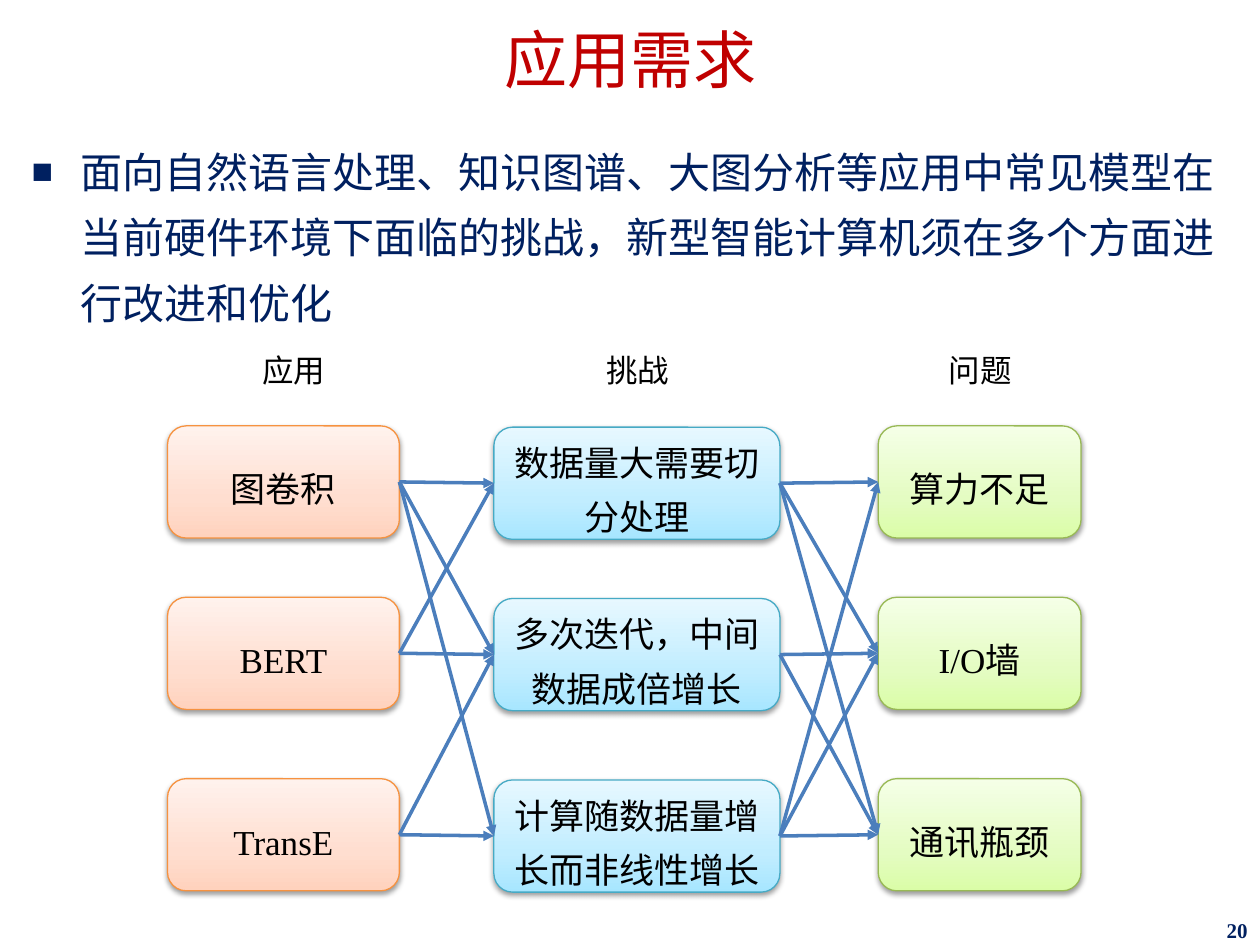
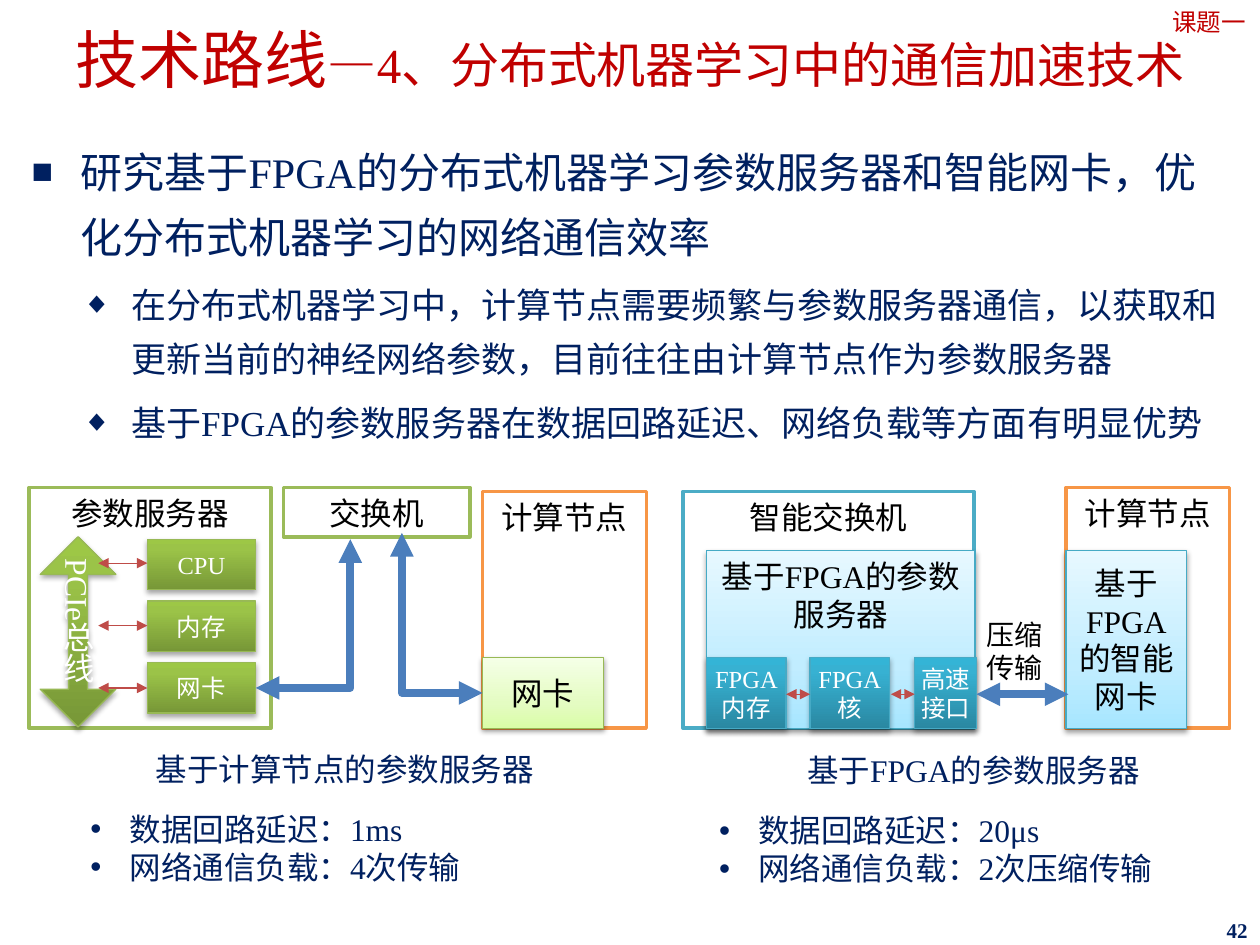
from dataclasses import dataclass
from typing import NamedTuple

import lxml.etree
import pptx
import pptx.dml.color
import pptx.enum.shapes
import pptx.enum.text
import pptx.oxml.ns
import pptx.util

Inches = pptx.util.Inches
Pt = pptx.util.Pt
ALIGN = pptx.enum.text.PP_ALIGN
ANCHOR = pptx.enum.text.MSO_ANCHOR
GEOMETRY = pptx.enum.shapes.MSO_SHAPE
ROUTE = pptx.enum.shapes.MSO_CONNECTOR
qn = pptx.oxml.ns.qn

FONT = "Times New Roman"
RED, NAVY, BLACK, WHITE = "C00000", "002060", "000000", "FFFFFF"
BLUE_LINK, RED_LINK = "4B7EBC", "BF4C48"


class Shadow(NamedTuple):
    opacity: int
    distance: float


SOFT, STRONG = Shadow(38, 1.6), Shadow(35, 1.8)


@dataclass(frozen=True)
class Skin:
    border: str
    border_width: float = 2
    stops: tuple[tuple[int, str], ...] = ()
    shadow: Shadow | None = None
    ink: str = BLACK


def soft(border: str, low: str, middle: str, high: str) -> Skin:
    return Skin(border, 0.75, ((0, low), (35, middle), (100, high)), SOFT)


def strong(border: str, low: str, middle: str, high: str) -> Skin:
    return Skin(border, 0.75, ((0, low), (80, middle), (100, high)), STRONG, WHITE)


PEACH = soft("F69240", "FFD2BD", "FFDED0", "FFF2ED")
SKY = soft("46AAC5", "A7E6FF", "C1EDFF", "E7F8FF")
LIME = soft("98B955", "DAFDA7", "E4FCC2", "F5FFE7")
TEAL = strong("46AAC5", "2A88A2", "37B1D2", "34B4D6")
GREEN = strong("98B955", "779737", "9BC348", "9DC746")
TEAL_FRAME, ORANGE_FRAME, GREEN_FRAME = Skin("4BACC6"), Skin("F79646"), Skin("9BBB59")


@dataclass(frozen=True)
class Box:
    text: str
    left: float
    top: float
    width: float
    height: float
    skin: Skin
    size: int = 18
    anchor: ANCHOR = ANCHOR.MIDDLE
    side_margin: float = 0.1
    line_spacing: float = 1.0
    geometry: GEOMETRY = GEOMETRY.RECTANGLE


@dataclass(frozen=True)
class Column:
    heading: str
    heading_left: float
    left: float
    offset: float
    width: float
    skin: Skin
    items: tuple[str, ...]


class Link(NamedTuple):
    start: tuple[float, float]
    end: tuple[float, float]
    color: str
    width: float
    route: ROUTE = ROUTE.STRAIGHT


class Summary(NamedTuple):
    left: float
    top: float
    caption: str
    facts: tuple[str, ...]


def rgb(color: str) -> pptx.dml.color.RGBColor:
    return pptx.dml.color.RGBColor.from_string(color)


def child(parent, tag: str, **attributes):
    element = lxml.etree.SubElement(parent, qn(tag))
    for key, value in attributes.items():
        element.set(key, str(value))
    return element


def style(paragraph, size: float, color: str, align=None, bold=None) -> None:
    paragraph.alignment = align
    paragraph.font.name = FONT
    paragraph.font.size = Pt(size)
    paragraph.font.bold = bold
    paragraph.font.color.rgb = rgb(color)


def bullet(paragraph, mark: str, indent: float, hanging: float, percent: int = 100) -> None:
    properties = paragraph._p.get_or_add_pPr()
    properties.set("marL", str(Inches(indent)))
    properties.set("indent", str(-Inches(hanging)))
    child(properties, "a:buSzPct", val=percent * 1000)
    child(properties, "a:buFont", typeface="Arial")
    child(properties, "a:buChar", char=mark)


def place(shape, left: float, top: float, width: float, height: float) -> None:
    shape.left, shape.top = Inches(left), Inches(top)
    shape.width, shape.height = Inches(width), Inches(height)


def add_label(slide, text: str, left: float, top: float, width: float, height: float,
              size: int, color: str = BLACK, align=ALIGN.CENTER, bold=None):
    frame = slide.shapes.add_textbox(
        Inches(left), Inches(top), Inches(width), Inches(height)).text_frame
    frame.word_wrap = True
    frame.text = text
    style(frame.paragraphs[0], size, color, align, bold)
    return frame


def paint(shape, skin: Skin) -> None:
    shape.shadow.inherit = False
    shape.line.color.rgb = rgb(skin.border)
    shape.line.width = Pt(skin.border_width)
    if not skin.stops:
        shape.fill.solid()
        shape.fill.fore_color.rgb = rgb(WHITE)
        return
    shape.fill.gradient()
    shape.fill.gradient_angle = 90
    properties = shape.element.spPr
    stops = properties.find(qn("a:gradFill")).find(qn("a:gsLst"))
    for stop in list(stops):
        stops.remove(stop)
    for position, color in skin.stops:
        child(child(stops, "a:gs", pos=position * 1000), "a:srgbClr", val=color)
    if skin.shadow:
        cast = child(properties.find(qn("a:effectLst")), "a:outerShdw", blurRad=Pt(3.1),
                     dist=Pt(skin.shadow.distance), dir=5400000, rotWithShape=0)
        shade = child(cast, "a:srgbClr", val=BLACK)
        child(shade, "a:alpha", val=skin.shadow.opacity * 1000)


def add_box(slide, box: Box):
    shape = slide.shapes.add_shape(box.geometry, Inches(box.left), Inches(box.top),
                                   Inches(box.width), Inches(box.height))
    paint(shape, box.skin)
    frame = shape.text_frame
    frame.word_wrap = True
    frame.vertical_anchor = box.anchor
    frame.margin_left = frame.margin_right = Inches(box.side_margin)
    frame.paragraphs[0].text = box.text
    frame.paragraphs[0].line_spacing = box.line_spacing
    style(frame.paragraphs[0], box.size, box.skin.ink, ALIGN.CENTER)
    return shape


def add_link(slide, link: Link, both_ends: bool = True):
    connector = slide.shapes.add_connector(
        link.route, *(Inches(value) for value in (*link.start, *link.end)))
    connector.line.color.rgb = rgb(link.color)
    connector.line.width = Pt(link.width)
    properties = connector._element.spPr
    if link.route == ROUTE.ELBOW:
        properties.find(qn("a:prstGeom")).set("prst", "bentConnector2")
    outline = properties.find(qn("a:ln"))
    if both_ends:
        child(outline, "a:headEnd", type="triangle")
    child(outline, "a:tailEnd", type="triangle")
    child(properties, "a:effectLst")
    return connector


def add_page(deck, title_runs: list[tuple[str, int]], points: list[tuple[int, str]], number: str):
    slide = deck.slides.add_slide(deck.slide_layouts[1])
    title, body = slide.placeholders
    place(title, 0, 0, 10, 0.89)
    title.text_frame.margin_top = Inches(0.16)
    title.text_frame.vertical_anchor = ANCHOR.MIDDLE
    title.text_frame.auto_size = pptx.enum.text.MSO_AUTO_SIZE.NONE
    heading = title.text_frame.paragraphs[0]
    heading.line_spacing = 0.9
    style(heading, title_runs[0][1], RED, ALIGN.CENTER)
    for text, size in title_runs:
        run = heading.add_run()
        run.text = text
        run.font.size = Pt(size)

    place(body, 0.15, 0.99, 9.72, 6.17)
    body.text_frame.auto_size = pptx.enum.text.MSO_AUTO_SIZE.NONE
    for index, (level, text) in enumerate(points):
        point = body.text_frame.add_paragraph() if index else body.text_frame.paragraphs[0]
        point.text = text
        point.level = level
        bullet(point, "■◆"[level], (0.39, 0.79)[level], 0.39, 85)
        point.line_spacing = 1.3
        point.space_before = Pt(5 if index else 0)
        style(point, (24, 20)[level], NAVY)

    footer = add_label(slide, number, 7.75, 7.28, 2.25, 0.22, 12, NAVY, ALIGN.RIGHT, True)
    footer.vertical_anchor = ANCHOR.MIDDLE
    footer.margin_top = Inches(0.04)
    return slide


def add_summary(slide, summary: Summary) -> None:
    frame = add_label(slide, summary.caption, summary.left, summary.top, 4.23, 1.25, 18, NAVY)
    for index, text in enumerate(summary.facts):
        fact = frame.add_paragraph()
        fact.text = text
        bullet(fact, "•", 0.31, 0.31)
        fact.space_before = Pt(0 if index else 13)
        style(fact, 18, NAVY)


def add_requirements(deck) -> None:
    slide = add_page(deck, [("应用需求", 36)], [
        (0, "面向自然语言处理、知识图谱、大图分析等应用中常见模型在当前硬件环境下面临的挑战，"
            "新型智能计算机须在多个方面进行改进和优化")], "20")
    row_tops = (3.38, 4.74, 6.18)
    columns = (
        Column("应用", 1.41, 1.33, 0, 1.84, PEACH, ("图卷积", "BERT", "TransE")),
        Column("挑战", 4.14, 3.92, 0.01, 2.27, SKY,
               ("数据量大需要切分处理", "多次迭代，中间数据成倍增长", "计算随数据量增长而非线性增长")),
        Column("问题", 6.86, 6.97, 0, 1.61, LIME, ("算力不足", "I/O墙", "通讯瓶颈")),
    )
    stages = []
    for column in columns:
        add_label(slide, column.heading, column.heading_left, 2.74, 1.84, 0.4, 18)
        stages.append([
            add_box(slide, Box(item, column.left, top + column.offset, column.width, 0.89,
                               column.skin, 20, line_spacing=1.3,
                               geometry=GEOMETRY.ROUNDED_RECTANGLE))
            for item, top in zip(column.items, row_tops)])

    application_targets = ((1, 0, 2), (0, 1), (1, 2))
    challenge_targets = ((0, 2, 1), (2, 1), (0, 2, 1))
    left_side, right_side = 1, 3
    for stage, targets in enumerate((application_targets, challenge_targets)):
        for source, row in zip(stages[stage], targets):
            for target in row:
                arrow = add_link(slide, Link((0, 0), (1, 1), BLUE_LINK, 2), both_ends=False)
                arrow.begin_connect(source, right_side)
                arrow.end_connect(stages[stage + 1][target], left_side)


def add_technical_route(deck) -> None:
    slide = add_page(
        deck, [("技术路线", 36), ("—4、分布式机器学习中的通信加速技术", 28)], [
            (0, "研究基于FPGA的分布式机器学习参数服务器和智能网卡，优化分布式机器学习的网络通信效率"),
            (1, "在分布式机器学习中，计算节点需要频繁与参数服务器通信，以获取和更新当前的神经网络参数，"
                "目前往往由计算节点作为参数服务器"),
            (1, "基于FPGA的参数服务器在数据回路延迟、网络负载等方面有明显优势")], "42")
    topic = add_label(slide, "课题一", 9.19, 0, 0.81, 0.34, 14, RED)
    topic.vertical_anchor = ANCHOR.MIDDLE

    top = ANCHOR.TOP
    boxes = [
        Box("智能交换机", 5.42, 3.9, 2.31, 1.88, TEAL_FRAME, anchor=top),
        Box("基于FPGA的参数服务器", 5.61, 4.37, 2.13, 1.41, SKY, anchor=top),
        Box("计算节点", 8.46, 3.87, 1.3, 1.91, ORANGE_FRAME, anchor=top),
        Box("基于FPGA的智能网卡", 8.46, 4.37, 0.96, 1.41, SKY),
        Box("计算节点", 3.83, 3.9, 1.3, 1.88, ORANGE_FRAME, anchor=top),
        Box("网卡", 3.83, 5.22, 0.96, 0.56, LIME),
        Box("参数服务器", 0.23, 3.87, 1.92, 1.91, GREEN_FRAME, anchor=top),
        Box("交换机", 2.25, 3.87, 1.48, 0.39, GREEN_FRAME, anchor=top),
    ]
    fpga_parts = (("FPGA\v内存", 5.61, 0.63), ("FPGA核", 6.43, 0.63), ("高速接口", 7.26, 0.49))
    boxes += [Box(text, left, 5.22, width, 0.56, TEAL, 14, side_margin=0.04)
              for text, left, width in fpga_parts]
    server_parts = ("CPU", "内存", "网卡")
    boxes += [Box(text, 1.17, 4.28 + 0.49 * row, 0.86, 0.4, GREEN, 14, side_margin=0.04)
              for row, text in enumerate(server_parts)]
    for box in boxes:
        add_box(slide, box)

    bus = add_box(slide, Box("PCIe总线", 0.32, 4.26, 0.6, 1.51, GREEN,
                             geometry=GEOMETRY.UP_DOWN_ARROW))
    bus.adjustments[1] = 0.25
    bus.element.txBody.bodyPr.set("vert", "eaVert")

    links = [Link((1.17, 4.47 + 0.495 * row), (0.78, 4.47 + 0.495 * row), RED_LINK, 0.75)
             for row in range(len(server_parts))]
    links += [Link((right, 5.51), (left, 5.51), RED_LINK, 0.75)
              for left, right in ((6.24, 6.43), (7.07, 7.26))]
    links += [
        Link((7.75, 5.51), (8.48, 5.51), BLUE_LINK, 4.5),
        Link((2.03, 5.46), (2.78, 4.28), BLUE_LINK, 4.5, ROUTE.ELBOW),
        Link((3.83, 5.5), (3.19, 4.23), BLUE_LINK, 4.5, ROUTE.ELBOW),
    ]
    for link in links:
        add_link(slide, link)
    add_label(slide, "压缩传输", 7.73, 4.85, 0.65, 0.64, 16, align=ALIGN.LEFT)

    for summary in (
        Summary(0.62, 5.9, "基于计算节点的参数服务器",
                ("数据回路延迟：1ms", "网络通信负载：4次传输")),
        Summary(5.61, 5.91, "基于FPGA的参数服务器",
                ("数据回路延迟：20μs", "网络通信负载：2次压缩传输")),
    ):
        add_summary(slide, summary)


def main() -> None:
    deck = pptx.Presentation()
    deck.slide_width, deck.slide_height = Inches(10), Inches(7.5)
    add_requirements(deck)
    add_technical_route(deck)
    deck.save("out.pptx")


if __name__ == "__main__":
    main()
